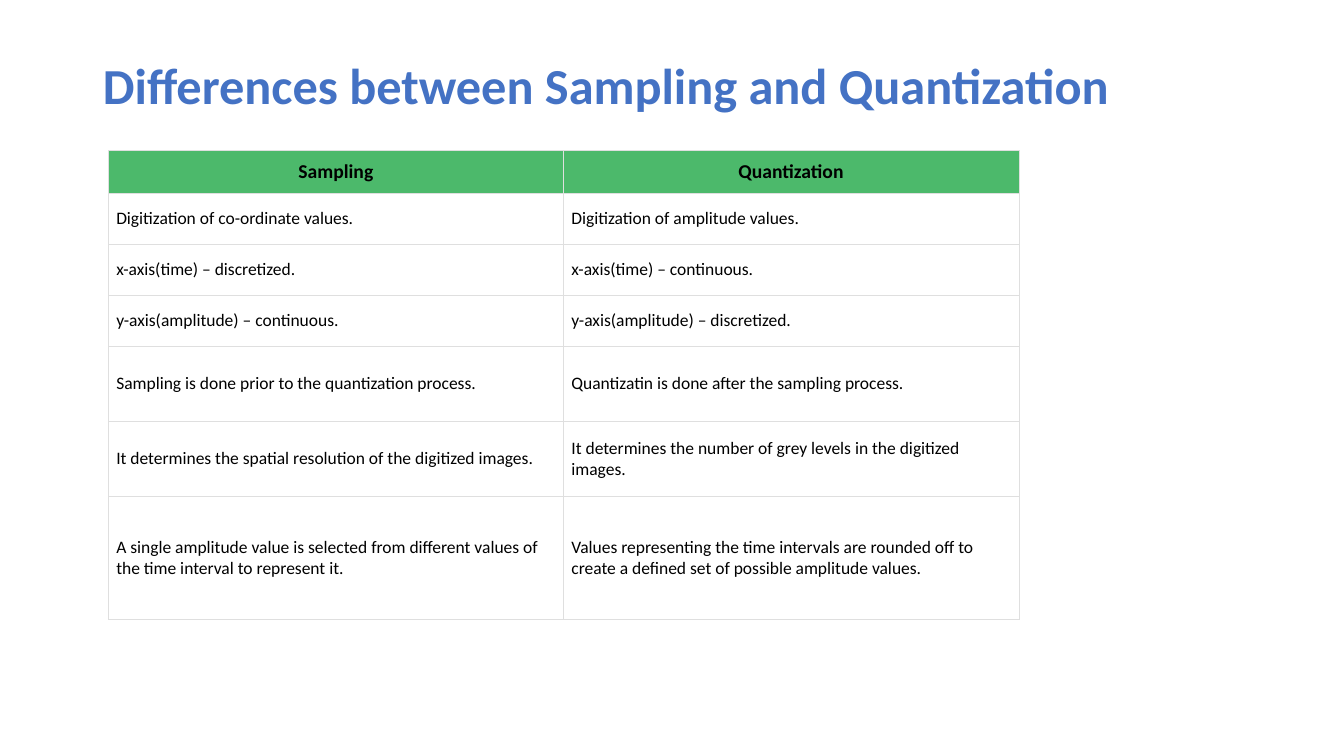
from lxml import etree
from pptx import Presentation
from pptx.dml.color import RGBColor
from pptx.enum.text import MSO_ANCHOR, MSO_AUTO_SIZE, PP_ALIGN
from pptx.oxml.ns import qn
from pptx.util import Cm, Pt

MIDDLE = MSO_ANCHOR.MIDDLE
NO_AUTOFIT = MSO_AUTO_SIZE.NONE
LEFT, CENTER = PP_ALIGN.LEFT, PP_ALIGN.CENTER
TITLE_ONLY = 5
FONT = "Calibri"
COLORS = {
    "title": "4472C4",
    "header": "4CB96B",
    "body": "FFFFFF",
    "text": "000000",
    "border": "DFDFDF",
}
BORDER_WIDTH = Pt(0.18)
ROW_HEIGHTS = [1.07, 1.29, 1.29, 1.29, 1.89, 1.89, 3.1]
COMPARISON = [
    ("Sampling", "Quantization"),
    ("Digitization of co-ordinate values.", "Digitization of amplitude values."),
    ("x-axis(time) – discretized.", "x-axis(time) – continuous."),
    ("y-axis(amplitude) – continuous.", "y-axis(amplitude) – discretized."),
    ("Sampling is done prior to the quantization process.",
     "Quantizatin is done after the sampling process."),
    ("It determines the spatial resolution of the digitized images.",
     "It determines the number of grey levels in the digitized images."),
    ("A single amplitude value is selected from different values of the time interval to represent it.",
     "Values representing the time intervals are rounded off to create a defined set of possible amplitude values."),
]


def write_text(text_frame, text, size, color="text", bold=False, align=LEFT, line_spacing=None):
    """Write one formatted paragraph into a text frame."""
    paragraph = text_frame.paragraphs[0]
    paragraph.alignment = align
    paragraph.line_spacing = line_spacing
    run = paragraph.add_run()
    run.text = text
    run.font.name = FONT
    run.font.size = Pt(size)
    run.font.bold = bold
    run.font.color.rgb = RGBColor.from_string(COLORS[color])


def set_borders(cell):
    """Draw a thin line on all four sides of a cell."""
    properties = cell._tc.get_or_add_tcPr()
    for index, side in enumerate(("a:lnL", "a:lnR", "a:lnT", "a:lnB")):
        line = etree.Element(qn(side), w=str(int(BORDER_WIDTH)))
        fill = etree.SubElement(line, qn("a:solidFill"))
        etree.SubElement(fill, qn("a:srgbClr"), val=COLORS["border"])
        properties.insert(index, line)


def format_cell(cell, text, is_header):
    """Fill, pad, border and write one table cell."""
    cell.fill.solid()
    cell.fill.fore_color.rgb = RGBColor.from_string(COLORS["header" if is_header else "body"])
    cell.vertical_anchor = MIDDLE
    cell.margin_left = cell.margin_right = Cm(0.18 if is_header else 0.2)
    cell.margin_top = cell.margin_bottom = Cm(0.18 if is_header else 0.3)
    set_borders(cell)
    if is_header:
        write_text(cell.text_frame, text, 14, bold=True, align=CENTER)
    else:
        write_text(cell.text_frame, text, 12.5)


def add_title(slide, left, top, width, height):
    """Place the slide title in the given box."""
    title = slide.shapes.title
    title.left, title.top, title.width, title.height = left, top, width, height
    title.text_frame.word_wrap = True
    title.text_frame.auto_size = NO_AUTOFIT
    title.text_frame.vertical_anchor = MIDDLE
    write_text(title.text_frame, "Differences between Sampling and Quantization", 36,
               color="title", bold=True, line_spacing=0.9)


def add_comparison_table(slide, left, top, width, height):
    """Place the two-column comparison table in the given box."""
    table = slide.shapes.add_table(len(COMPARISON), 2, left, top, width, height).table
    table.horz_banding = False
    for column in table.columns:
        column.width = width // 2
    for row, row_height, texts in zip(table.rows, ROW_HEIGHTS, COMPARISON):
        row.height = Cm(row_height)
        for cell, text in zip(row.cells, texts):
            format_cell(cell, text, texts is COMPARISON[0])


def main():
    """Build the slide and save the presentation."""
    presentation = Presentation()
    presentation.slide_width, presentation.slide_height = Cm(33.87), Cm(19.05)
    slide = presentation.slides.add_slide(presentation.slide_layouts[TITLE_ONLY])
    add_title(slide, Cm(2.34), Cm(1.02), Cm(26.47), Cm(2.41))
    add_comparison_table(slide, Cm(2.73), Cm(3.79), Cm(22.94), Cm(sum(ROW_HEIGHTS)))
    presentation.save("out.pptx")


if __name__ == "__main__":
    main()
